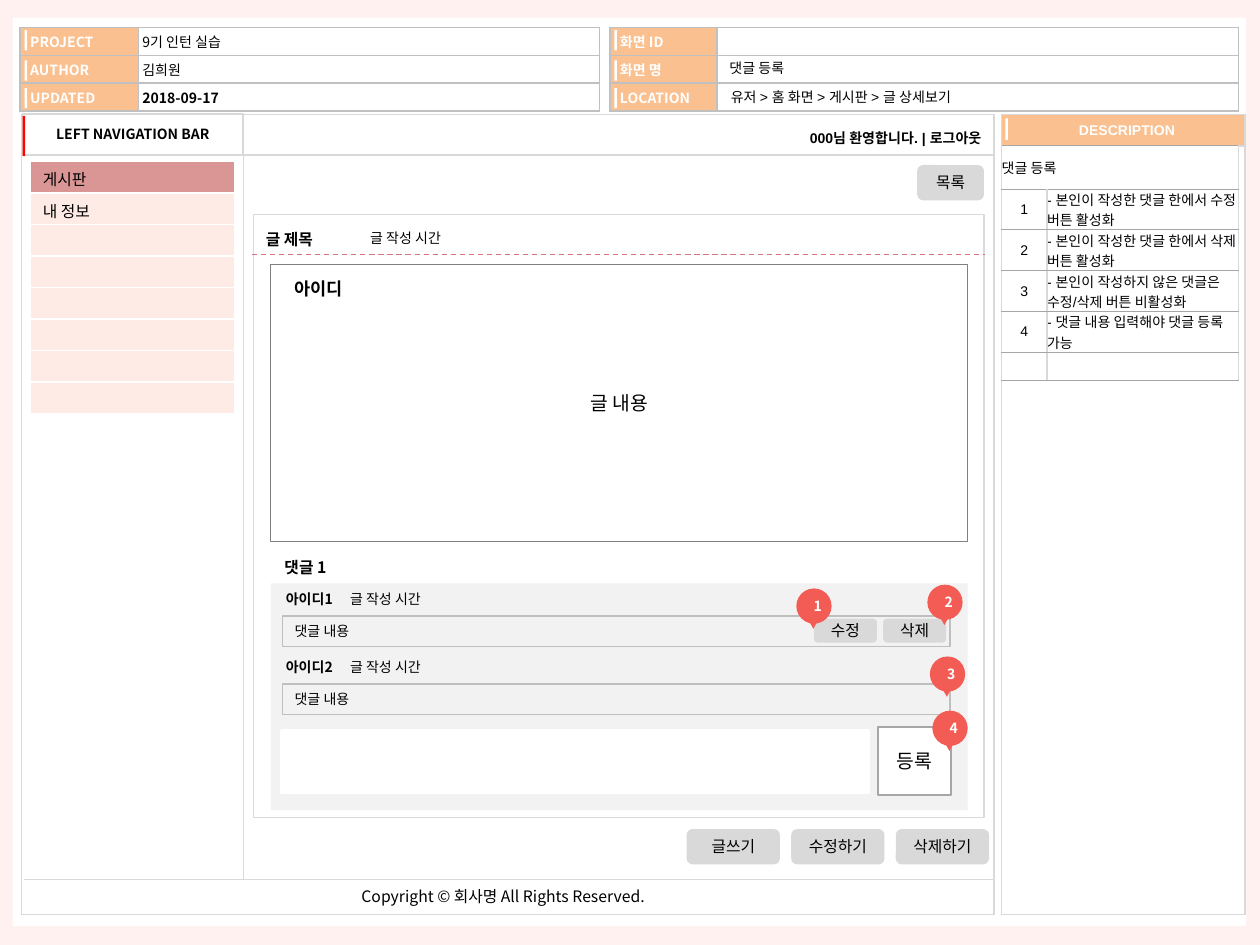
"""Build the comment registration wireframe page."""
from dataclasses import dataclass
from typing import Optional

import lxml.etree
import pptx
import pptx.dml.color
import pptx.enum.dml
import pptx.enum.shapes
import pptx.enum.text
import pptx.oxml.ns
import pptx.util

Inches = pptx.util.Inches
RGBColor = pptx.dml.color.RGBColor
Align = pptx.enum.text.PP_ALIGN
Anchor = pptx.enum.text.MSO_ANCHOR
Preset = pptx.enum.shapes.MSO_SHAPE
qn = pptx.oxml.ns.qn

BLACK = RGBColor(0x00, 0x00, 0x00)
WHITE = RGBColor(0xFF, 0xFF, 0xFF)
BLUSH = RGBColor(0xFF, 0xF1, 0xEF)
ORANGE = RGBColor(0xFA, 0xC0, 0x90)
RED = RGBColor(0xFF, 0x00, 0x00)
CORAL = RGBColor(0xF2, 0x5C, 0x54)
ROSE = RGBColor(0xD6, 0x74, 0x84)
MENU_ON = RGBColor(0xD9, 0x96, 0x94)
MENU_OFF = RGBColor(0xFF, 0xEB, 0xE5)
PALE = RGBColor(0xF2, 0xF2, 0xF2)
LIGHT = RGBColor(0xD9, 0xD9, 0xD9)
SILVER = RGBColor(0xC0, 0xC0, 0xC0)
FIELD = RGBColor(0xBF, 0xBF, 0xBF)
MIDDLE = RGBColor(0xA6, 0xA6, 0xA6)
DARK = RGBColor(0x80, 0x80, 0x80)
NOTO, ARIAL = "Noto Sans CJK KR", "Arial"


@dataclass(frozen=True)
class Stroke:
    """Colour and width in points of a line."""
    color: RGBColor
    width: float = 0.75


@dataclass(frozen=True)
class Box:
    """A preset shape with optional text."""
    left: float
    top: float
    width: float
    height: float
    fill: Optional[RGBColor] = None
    stroke: Optional[Stroke] = None
    text: str = ""
    size: float = 9
    bold: bool = False
    align: Align = Align.CENTER
    preset: Preset = Preset.RECTANGLE


@dataclass(frozen=True)
class Label:
    """A line of text without a frame."""
    left: float
    top: float
    width: float
    height: float
    text: str
    size: float = 8
    bold: bool = False
    face: str = NOTO
    align: Align = Align.LEFT
    inset: tuple = (0.1, 0.05)
    wrap: bool = False


@dataclass(frozen=True)
class Cell:
    """Content and format of a table cell."""
    text: str = ""
    fill: RGBColor = WHITE
    color: RGBColor = BLACK
    bold: bool = False
    face: str = NOTO
    size: float = 8
    align: Align = Align.LEFT
    margins: tuple = (0, 0, 0, 0)
    anchor: Anchor = Anchor.MIDDLE


def write(frame, text: str, *, size: float = 8, bold: bool = False, color: RGBColor = BLACK,
          face: str = NOTO, align: Align = Align.LEFT, anchor: Anchor = Anchor.MIDDLE) -> None:
    """Put one formatted paragraph in a text frame."""
    frame.vertical_anchor = anchor
    para = frame.paragraphs[0]
    para.alignment = align
    if not text:
        lxml.etree.SubElement(para._p, qn("a:endParaRPr"), sz=str(int(size * 100)))
        return
    span = para.add_run()
    span.text = text
    span.font.size, span.font.bold, span.font.name = pptx.util.Pt(size), bold, face
    span.font.color.rgb = color
    lxml.etree.SubElement(span.font._element, qn("a:ea"), typeface=NOTO)


def set_margins(target, left: float, top: float, right: float, bottom: float) -> None:
    """Set the inner margins of a frame or cell in inches."""
    target.margin_left, target.margin_top = Inches(left), Inches(top)
    target.margin_right, target.margin_bottom = Inches(right), Inches(bottom)


def draw_box(shapes, item: Box):
    """Draw a box and return its shape."""
    box = shapes.add_shape(item.preset, *map(Inches, (item.left, item.top, item.width, item.height)))
    box.shadow.inherit = False
    if item.fill is None:
        box.fill.background()
    else:
        box.fill.solid()
        box.fill.fore_color.rgb = item.fill
    if item.stroke is None:
        box.line.fill.background()
    else:
        box.line.color.rgb = item.stroke.color
        box.line.width = pptx.util.Pt(item.stroke.width)
    if item.text:
        set_margins(box.text_frame, 0.1, 0, 0.1, 0)
        box.text_frame.word_wrap = True
        write(box.text_frame, item.text, size=item.size, bold=item.bold, align=item.align)
    return box


def format_label(box, item: Label) -> None:
    """Place and fill a text box or placeholder."""
    box.left, box.top, box.width, box.height = map(
        Inches, (item.left, item.top, item.width, item.height))
    frame = box.text_frame
    frame.word_wrap = item.wrap
    frame.auto_size = pptx.enum.text.MSO_AUTO_SIZE.NONE
    set_margins(frame, *item.inset, *item.inset)
    write(frame, item.text, size=item.size, bold=item.bold, face=item.face,
          align=item.align, anchor=Anchor.TOP)


def draw_label(page, item: Label) -> None:
    """Draw a label in a new text box."""
    format_label(page.shapes.add_textbox(0, 0, 0, 0), item)


def draw_line(page, x1: float, y1: float, x2: float, y2: float, stroke: Stroke, dashed: bool = False) -> None:
    """Draw a straight rule."""
    rule = page.shapes.add_connector(
        pptx.enum.shapes.MSO_CONNECTOR.STRAIGHT, *map(Inches, (x1, y1, x2, y2)))
    rule.line.color.rgb = stroke.color
    rule.line.width = pptx.util.Pt(stroke.width)
    if dashed:
        rule.line.dash_style = pptx.enum.dml.MSO_LINE.DASH
    lxml.etree.SubElement(rule.element.spPr, qn("a:effectLst"))


def set_borders(cell, vertical: Stroke, horizontal: Stroke) -> None:
    """Give a cell its four borders."""
    for side, stroke in zip("LRTB", (vertical, vertical, horizontal, horizontal)):
        edge = lxml.etree.SubElement(cell._tc.get_or_add_tcPr(), qn("a:ln" + side),
                                     w=str(int(pptx.util.Pt(stroke.width))))
        paint = lxml.etree.SubElement(edge, qn("a:solidFill"))
        lxml.etree.SubElement(paint, qn("a:srgbClr"), val=str(stroke.color))


def draw_table(page, left: float, top: float, widths: list, heights: list, rows: list,
               vertical: Stroke, horizontal: Stroke):
    """Draw a table of cells and return it."""
    table = page.shapes.add_table(len(rows), len(widths), *map(
        Inches, (left, top, sum(widths), sum(heights)))).table
    table.first_row = table.horz_banding = False
    for column, width in zip(table.columns, widths):
        column.width = Inches(width)
    for row, height, items in zip(table.rows, heights, rows):
        row.height = Inches(height)
        for cell, item in zip(row.cells, items):
            set_borders(cell, vertical, horizontal)
            cell.fill.solid()
            cell.fill.fore_color.rgb = item.fill
            set_margins(cell, *item.margins)
            write(cell.text_frame, item.text, size=item.size, bold=item.bold,
                  color=item.color, face=item.face, align=item.align)
            cell.vertical_anchor = item.anchor
    return table


def draw_header(page, left: float, widths: list, names: list, values: list) -> None:
    """Draw a document information table with its markers."""
    rows = [[Cell(name, ORANGE, WHITE, True, margins=(0.08, 0, 0.03, 0)), value]
            for name, value in zip(names, values)]
    grey = Stroke(SILVER, 1)
    draw_table(page, left, 0.22, widths, [0.22] * 3, rows, grey, grey)
    for top in (0.24, 0.48, 0.7):
        draw_box(page.shapes, Box(left + 0.035, top, 0.02, 0.16, WHITE))


def draw_description(page) -> None:
    """Draw the description panel and its numbered notes."""
    edge = Stroke(LIGHT, 1)
    draw_table(page, 7.95, 0.91, [1.93], [0.25, 6.1],
               [[Cell("DESCRIPTION", ORANGE, WHITE, True, ARIAL, align=Align.CENTER,
                      margins=(0.06, 0, 0, 0))], [Cell()]], edge, edge)
    draw_box(page.shapes, Box(7.98, 0.94, 0.02, 0.17, WHITE))
    notes = ["본인이 작성한 댓글 한에서 수정 버튼 활성화", "본인이 작성한 댓글 한에서 삭제 버튼 활성화",
             "본인이 작성하지 않은 댓글은 수정/삭제 버튼 비활성화", "댓글 내용 입력해야 댓글 등록 가능"]
    rows = [[Cell("댓글 등록", face=ARIAL), Cell()]]
    rows += [[Cell(str(number), face=ARIAL, align=Align.CENTER), Cell("- " + note, face=ARIAL)]
             for number, note in enumerate(notes, 1)]
    rows.append([Cell(), Cell()])
    table = draw_table(page, 7.95, 1.15, [0.36, 1.52], [0.35] + [0.32] * 4 + [0.22], rows,
                       edge, Stroke(MIDDLE, 0.5))
    table.cell(0, 0).merge(table.cell(0, 1))


def draw_comment(page, number: int, top: float) -> None:
    """Draw one posted comment."""
    draw_label(page, Label(2.17, top, 0.6, 0.24, f"아이디{number}", bold=True))
    draw_label(page, Label(2.68, top, 0.84, 0.24, "글 작성 시간"))
    draw_box(page.shapes, Box(2.24, top + 0.25, 5.3, 0.24, None, Stroke(FIELD), "댓글 내용", 8,
                              align=Align.LEFT))


def draw_button(page, left: float, top: float, width: float, height: float, text: str) -> None:
    """Draw a rounded grey button."""
    draw_box(page.shapes, Box(left, top, width, height, LIGHT, text=text,
                              preset=Preset.ROUNDED_RECTANGLE))


def draw_pin(page, number: int, left: float, top: float) -> None:
    """Draw a numbered callout pin."""
    pin = page.shapes.add_group_shape()
    head = draw_box(pin.shapes, Box(left, top, 0.28, 0.28, CORAL, preset=Preset.OVAL))
    set_margins(head.text_frame, 0.06, 0, 0, 0)
    write(head.text_frame, str(number), bold=True, color=WHITE, align=Align.CENTER)
    tip = draw_box(pin.shapes, Box(left + 0.09, top + 0.24, 0.09, 0.08, CORAL,
                                   preset=Preset.ISOSCELES_TRIANGLE))
    tip.rotation = 180


def build() -> None:
    """Assemble and save the page."""
    deck = pptx.Presentation()
    deck.slide_width, deck.slide_height = Inches(10), Inches(7.5)
    page = deck.slides.add_slide(deck.slide_layouts[5])
    page.background.fill.solid()
    page.background.fill.fore_color.rgb = BLUSH
    draw_box(page.shapes, Box(0.1, 0.14, 9.79, 7.21, WHITE))

    inset = (0.03, 0, 0.03, 0)
    draw_header(page, 0.16, [0.94, 3.66], ["PROJECT", "AUTHOR", "UPDATED"],
                [Cell("9기 인턴 실습", margins=inset), Cell("김희원", margins=inset),
                 Cell("2018-09-17", bold=True, margins=inset)])
    draw_header(page, 4.84, [0.85, 4.14], ["화면 ID", "화면 명", "LOCATION"], [Cell()] * 3)
    draw_box(page.shapes, Box(0.17, 0.91, 7.72, 6.35, None, Stroke(LIGHT)))
    draw_description(page)

    draw_line(page, 1.93, 0.91, 1.93, 6.98, Stroke(LIGHT))
    draw_box(page.shapes, Box(0.18, 0.9, 1.75, 0.33, None, Stroke(LIGHT),
                              "LEFT NAVIGATION BAR", 8, True))
    draw_box(page.shapes, Box(0.18, 0.92, 0.02, 0.32, RED))
    for left, top in ((1.93, 1.23), (0.19, 6.98)):
        draw_line(page, left, top, 7.89, top, Stroke(LIGHT, 1))
    menu = [("게시판", MENU_ON), ("내 정보", MENU_OFF)] + [("", MENU_OFF)] * 6
    white = Stroke(WHITE, 1)
    draw_table(page, 0.24, 1.28, [1.62], [0.25] * 8,
               [[Cell(text, fill, size=9, margins=(0.1, 0.05, 0.1, 0), anchor=Anchor.TOP)]
                for text, fill in menu], white, white)

    for item in (Box(2.15, 2.1, 5.53, 2.2, None, Stroke(DARK), "글 내용", 11),
                 Box(2.01, 1.7, 5.8, 4.79, None, Stroke(LIGHT)),
                 Box(2.15, 4.63, 5.53, 1.8, PALE),
                 Box(2.24, 5.8, 4.65, 0.49, WHITE, Stroke(WHITE, 2)),
                 Box(6.97, 5.77, 0.58, 0.54, WHITE, Stroke(MIDDLE, 1), "등록", 11)):
        draw_box(page.shapes, item)
    draw_line(page, 2, 2.02, 7.82, 2.02, Stroke(ROSE), dashed=True)

    title = page.shapes.title
    format_label(title, Label(2.01, 1.77, 0.62, 0.25, "글 제목", 9, True))
    title.element.getparent().append(title.element)
    tight = (0.08, 0.04)
    for item in (Label(5.72, 0.66, 2.9, 0.2, "유저 > 홈 화면 > 게시판 > 글 상세보기", face=ARIAL,
                       inset=tight, wrap=True),
                 Label(5.71, 0.43, 2.9, 0.2, "댓글 등록", face=ARIAL, inset=tight, wrap=True),
                 Label(5.29, 0.99, 2.58, 0.22, "000님 환영합니다. | 로그아웃", 8, True, ARIAL,
                       Align.RIGHT, tight, True),
                 Label(2.84, 1.77, 0.84, 0.24, "글 작성 시간"),
                 Label(2.24, 2.16, 0.62, 0.27, "아이디", 10, True),
                 Label(2.16, 4.38, 0.57, 0.25, "댓글 1", 9, True),
                 Label(2.77, 6.99, 2.52, 0.25, "Copyright ©\u00a0회사명 All Rights Reserved.", 9)):
        draw_label(page, item)

    for number, top in enumerate((4.64, 5.18), 1):
        draw_comment(page, number, top)
    draw_button(page, 7.28, 1.31, 0.53, 0.28, "목록")
    for index, text in enumerate(("수정", "삭제")):
        draw_button(page, 6.46 + 0.55 * index, 4.91, 0.5, 0.19, text)
    for index, text in enumerate(("글쓰기", "수정하기", "삭제하기")):
        draw_button(page, 5.45 + 0.83 * index, 6.58, 0.74, 0.28, text)
    for number, (left, top) in enumerate(((6.32, 4.67), (7.36, 4.64), (7.38, 5.21), (7.4, 5.64)), 1):
        draw_pin(page, number, left, top)
    deck.save("out.pptx")


build()
